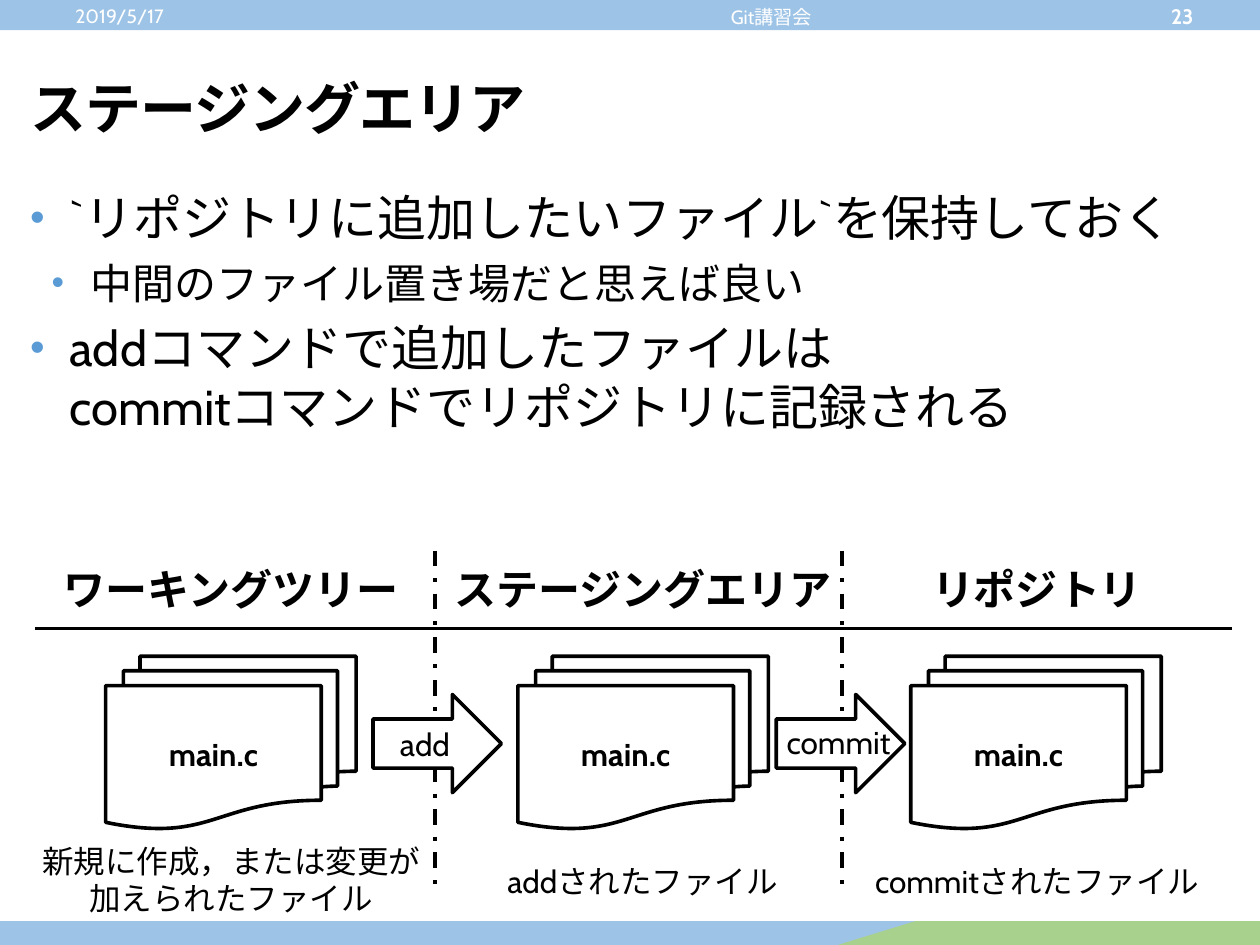
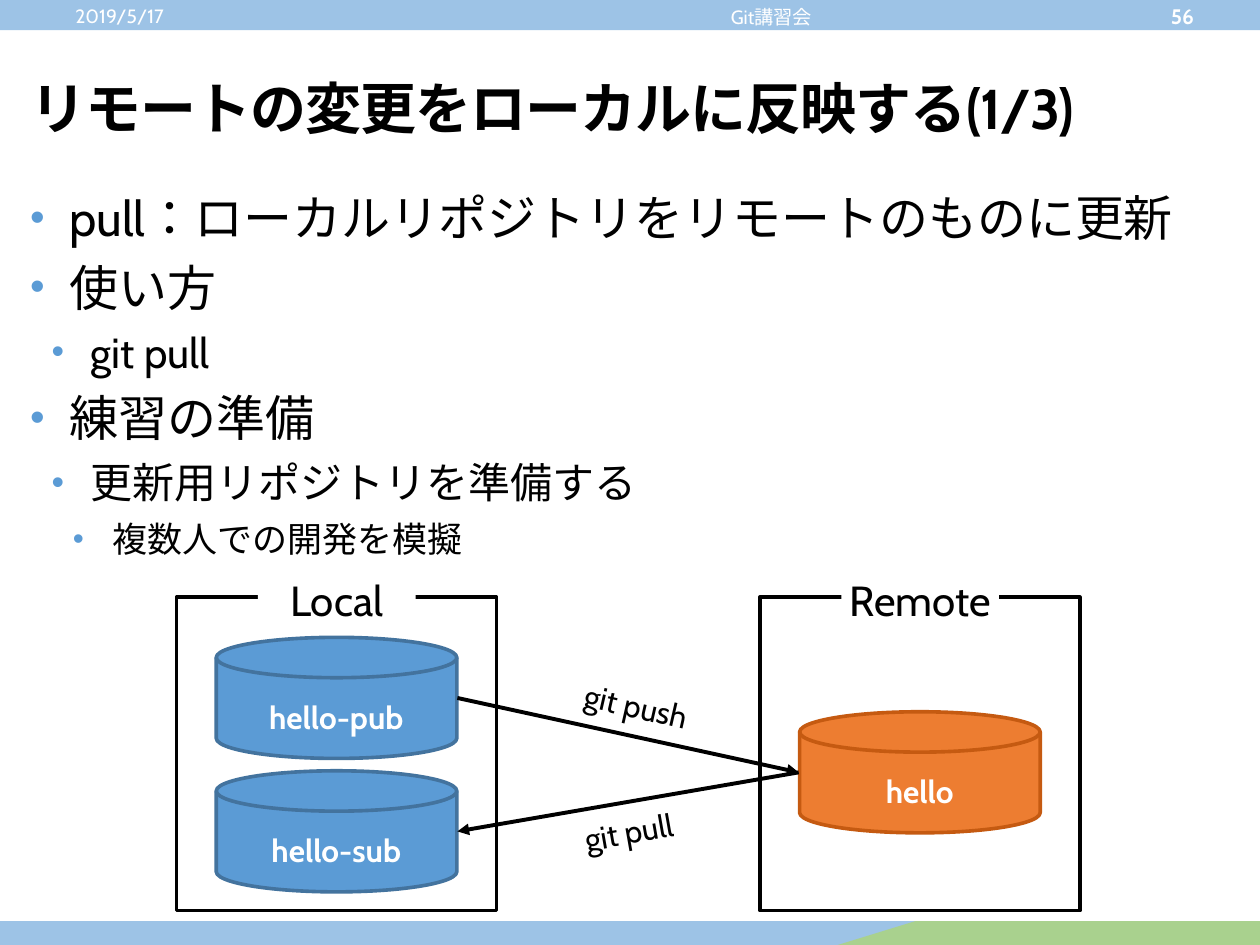
"""Build two slides of a Git workshop: the staging area and pulling remote changes."""
from dataclasses import dataclass

from lxml.etree import SubElement
from pptx import Presentation
from pptx.dml.color import RGBColor
from pptx.enum.dml import MSO_LINE
from pptx.enum.lang import MSO_LANGUAGE_ID
from pptx.enum.shapes import MSO_CONNECTOR, MSO_SHAPE
from pptx.enum.text import MSO_ANCHOR, PP_ALIGN
from pptx.oxml.ns import qn
from pptx.util import Cm, Pt


@dataclass(frozen=True)
class Theme:
    """Hold the colours, font and sizes shared by the slides."""
    font: str = "Cabin"
    black: str = "000000"
    white: str = "FFFFFF"
    band: str = "9DC3E6"
    hill: str = "A9D18E"
    blue: str = "5B9BD5"
    blue_edge: str = "43739E"
    orange: str = "ED7D31"
    orange_edge: str = "C55A11"
    title: int = 32
    body: tuple = (28, 24, 20)
    heading: int = 24
    label: int = 18
    footer: int = 11
    page: int = 12
    outline: float = 2.08
    rule: float = 2.25


THEME = Theme()
DATE, EVENT = "2019/5/17", "Git講習会"

STAGING = {
    "page": "23",
    "title": "ステージングエリア",
    "bullets": [
        (0, "`リポジトリに追加したいファイル`を保持しておく"),
        (1, "中間のファイル置き場だと思えば良い"),
        (0, "addコマンドで追加したファイルは\ncommitコマンドでリポジトリに記録される"),
    ],
    "body_height": 6.17,
}
PULL = {
    "page": "56",
    "title": "リモートの変更をローカルに反映する(1/3)",
    "bullets": [
        (0, "pull：ローカルリポジトリをリモートのものに更新"),
        (0, "使い方"),
        (1, "git pull"),
        (0, "練習の準備"),
        (1, "更新用リポジトリを準備する"),
        (2, "複数人での開発を模擬"),
    ],
    "body_height": 7.9,
}

DOCUMENT = "main.c"
AREAS = [
    {"heading": "ワーキングツリー", "heading_at": (0.56, 8.2), "document_left": 2.13,
     "caption": "新規に作成，または変更が加えられたファイル", "caption_box": (0.56, 16.84, 8.2, 1.8)},
    {"heading": "ステージングエリア", "heading_at": (8.76, 8.41), "document_left": 10.44,
     "caption": "addされたファイル", "caption_box": (9.68, 17.25, 6.55, 1.02)},
    {"heading": "リポジトリ", "heading_at": (17.07, 7.67), "document_left": 18.36,
     "caption": "commitされたファイル", "caption_box": (16.81, 17.25, 8.2, 1.02)},
]
DIVIDERS = (8.76, 16.97)

HOSTS = [
    {"name": "Remote", "left": 15.32, "fill": THEME.orange, "edge": THEME.orange_edge,
     "repositories": [("hello", 14.35)]},
    {"name": "Local", "left": 3.56, "fill": THEME.blue, "edge": THEME.blue_edge,
     "repositories": [("hello-pub", 12.85), ("hello-sub", 15.54)]},
]
PUB, HELLO, SUB = (9.22, 14.07), (16.1, 15.57), (9.22, 16.76)
TRANSFERS = [
    ("git push", PUB, HELLO, (10.16, 13.72, 5.33, 1.02), 12.9),
    ("git pull", HELLO, SUB, (10.01, 16.26, 5.33, 1.02), 350),
]


def color(value):
    """Turn a hexadecimal value into a colour."""
    return RGBColor.from_string(value)


def write_text(shape, text, size=THEME.label, fill=THEME.black, bold=False,
               align=PP_ALIGN.CENTER, anchor=MSO_ANCHOR.TOP, wrap=True, spacing=None):
    """Write one paragraph, or a list of (level, text) bullets, into a shape."""
    frame = shape.text_frame
    frame.word_wrap = wrap
    frame.vertical_anchor = anchor
    items = [(None, text)] if isinstance(text, str) else text
    for index, (level, content) in enumerate(items):
        paragraph = frame.add_paragraph() if index else frame.paragraphs[0]
        paragraph.text = content
        paragraph.alignment = align
        if level is not None:
            add_bullet(paragraph, level)
        for run in paragraph.runs:
            run.font.name = THEME.font
            run.font.size = Pt(size if level is None else THEME.body[level])
            run.font.bold = bold
            run.font.color.rgb = color(fill)
            run.font.language_id = MSO_LANGUAGE_ID.JAPANESE
            properties = run.font._element
            SubElement(properties, qn("a:ea")).set("typeface", THEME.font)
            if spacing is not None:
                properties.set("spc", str(spacing))


def add_bullet(paragraph, level):
    """Give a paragraph its level, hanging indent and coloured bullet."""
    paragraph.level = level
    paragraph.space_after = Pt(6)
    properties = paragraph._p.get_or_add_pPr()
    properties.set("marL", str(Cm(0.79 + 0.43 * level)))
    properties.set("indent", str(-Cm(0.79)))
    bullet_color = SubElement(properties, qn("a:buClr"))
    SubElement(bullet_color, qn("a:srgbClr")).set("val", THEME.blue)
    SubElement(properties, qn("a:buSzPct")).set("val", "90000" if level == 2 else "85000")
    SubElement(properties, qn("a:buFont")).set("typeface", "Arial")
    SubElement(properties, qn("a:buChar")).set("char", "•")


def add_text(slide, box, text, **text_format):
    """Add a text box at (left, top, width, height)."""
    shape = slide.shapes.add_textbox(*map(Cm, box))
    write_text(shape, text, **text_format)
    return shape


def add_block(slide, kind, box, fill=None, edge=None):
    """Add a flat preset shape with optional fill and outline."""
    shape = slide.shapes.add_shape(kind, *map(Cm, box))
    shape.shadow.inherit = False
    if fill:
        shape.fill.solid()
        shape.fill.fore_color.rgb = color(fill)
    else:
        shape.fill.background()
    if edge:
        shape.line.color.rgb = color(edge)
        shape.line.width = Pt(THEME.outline)
    else:
        shape.line.fill.background()
    return shape


def add_line(slide, start, end, dash=None, arrow=False):
    """Add a black straight line, dashed or with an arrowhead if asked."""
    connector = slide.shapes.add_connector(MSO_CONNECTOR.STRAIGHT, *map(Cm, start + end))
    connector.line.color.rgb = color(THEME.black)
    connector.line.width = Pt(THEME.rule)
    if dash:
        connector.line.dash_style = dash
    if arrow:
        SubElement(connector.line._get_or_add_ln(), qn("a:tailEnd")).set("type", "triangle")
    SubElement(connector._element.spPr, qn("a:effectLst"))


def add_base_slide(presentation, content):
    """Add a slide with bands, footers, title and bullets."""
    slide = presentation.slides.add_slide(presentation.slide_layouts[6])
    for box in ((0, 0, 25.4, 0.61), (0, 18.57, 25.4, 0.48)):
        add_block(slide, MSO_SHAPE.RECTANGLE, box, THEME.band)
    slope = add_block(slide, MSO_SHAPE.PARALLELOGRAM, (16.89, 18.57, 7.06, 0.48), THEME.hill)
    slope.adjustments[0] = 3.25
    add_block(slide, MSO_SHAPE.RECTANGLE, (19.3, 18.57, 6.1, 0.48), THEME.hill)

    add_text(slide, (0.36, 1.17, 24.74, 1.96), content["title"], size=THEME.title, bold=True,
             align=PP_ALIGN.LEFT, anchor=MSO_ANCHOR.MIDDLE, spacing=-60)
    add_text(slide, (0.36, 3.66, 24.74, content["body_height"]), content["bullets"],
             align=PP_ALIGN.LEFT)
    footers = [
        (DATE, (1.27, 0.03, 6.71, 0.58), THEME.footer, PP_ALIGN.LEFT, False),
        (EVENT, (8.76, 0.03, 13.59, 0.61), THEME.footer, PP_ALIGN.CENTER, False),
        (content["page"], (22.35, 0.03, 2.97, 0.58), THEME.page, PP_ALIGN.CENTER, True),
    ]
    for text, box, size, align, bold in footers:
        add_text(slide, box, text, size=size, fill=THEME.white, bold=bold, align=align,
                 anchor=MSO_ANCHOR.MIDDLE)
    return slide


def draw_areas(slide):
    """Draw the three file areas and the commands between them."""
    for left in DIVIDERS:
        add_line(slide, (left, 11.1), (left, 17.88), dash=MSO_LINE.DASH_DOT)
    add_line(slide, (24.84, 12.67), (0.71, 12.67))
    for area in AREAS:
        left, width = area["heading_at"]
        add_text(slide, (left, 11.23, width, 1.27), area["heading"],
                 size=THEME.heading, bold=True)
        document = add_block(slide, MSO_SHAPE.FLOWCHART_MULTIDOCUMENT,
                             (area["document_left"], 13.23, 5.05, 3.48),
                             THEME.white, THEME.black)
        write_text(document, DOCUMENT, bold=True, anchor=MSO_ANCHOR.MIDDLE)
        add_text(slide, area["caption_box"], area["caption"])
    add_arrow, commit_arrow = [
        add_block(slide, MSO_SHAPE.RIGHT_ARROW, (left, 14, 2.59, 1.98), THEME.white, THEME.black)
        for left in (7.52, 15.65)
    ]
    write_text(add_arrow, "add", anchor=MSO_ANCHOR.MIDDLE)
    add_text(slide, (15.57, 14.45, 2.67, 1.02), "commit", wrap=False)


def draw_hosts(slide):
    """Draw the hosts with their repositories and the transfers between them."""
    for host in HOSTS:
        disk_left = host["left"] + 0.8
        for name, top in host["repositories"]:
            add_block(slide, MSO_SHAPE.FLOWCHART_MAGNETIC_DISK, (disk_left, top, 4.85, 2.44),
                      host["fill"], host["edge"])
            add_text(slide, (disk_left + 0.25, top + 1.09, 4.34, 1.02), name,
                     fill=THEME.white, bold=True)
        add_block(slide, MSO_SHAPE.RECTANGLE, (host["left"], 12.04, 6.45, 6.32),
                  edge=THEME.black)
        label = add_block(slide, MSO_SHAPE.RECTANGLE, (host["left"] + 1.64, 11.46, 3.18, 1.27),
                          THEME.white)
        write_text(label, host["name"], size=THEME.heading, wrap=False)
    for command, start, end, box, rotation in TRANSFERS:
        add_line(slide, start, end, arrow=True)
        add_text(slide, box, command).rotation = rotation


def main():
    """Build and save the presentation."""
    presentation = Presentation()
    presentation.slide_width, presentation.slide_height = Cm(25.4), Cm(19.05)
    draw_areas(add_base_slide(presentation, STAGING))
    draw_hosts(add_base_slide(presentation, PULL))
    presentation.save("out.pptx")


if __name__ == "__main__":
    main()
